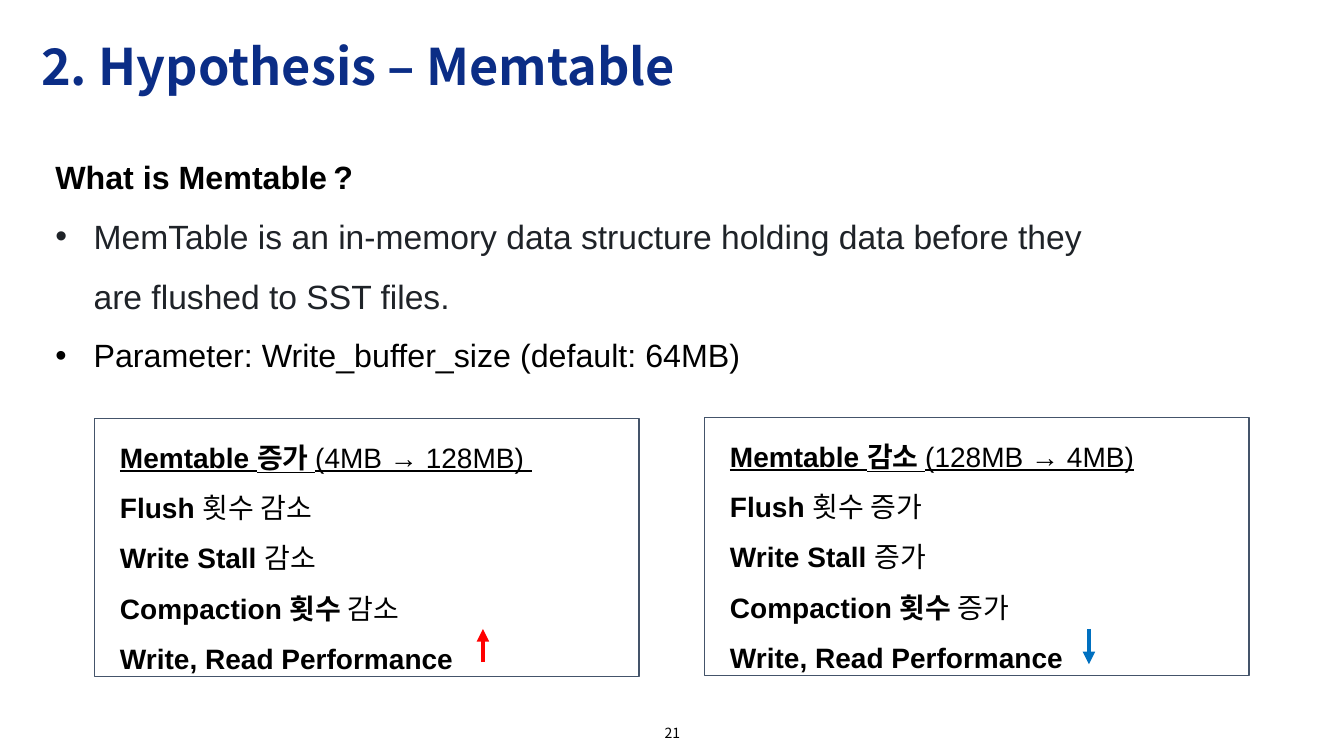
from lxml import etree
from pptx import Presentation
from pptx import util as u
from pptx.dml.color import RGBColor
from pptx.enum import shapes, text
from pptx.oxml.ns import qn

INK, NAVY, SLATE = "000000", "0B2D86", "44546A"
BODY, KOREAN = "Arial", "Noto Sans CJK KR"


def rgb(value):
    return RGBColor.from_string(value)


class Deck:
    def __init__(self):
        self.prs = Presentation()
        self.prs.slide_width = u.Inches(13.33)
        self.prs.slide_height = u.Inches(7.5)
        self.s = self.prs.slides.add_slide(self.prs.slide_layouts[6])

    def frame(self, sp, anchor, grow=False):
        tf = sp.text_frame
        tf.word_wrap = True
        tf.vertical_anchor = anchor
        tf.auto_size = (text.MSO_AUTO_SIZE.SHAPE_TO_FIT_TEXT if grow
                        else text.MSO_AUTO_SIZE.NONE)
        return tf

    def text_box(self, x, y, w, h, grow=False):
        sp = self.s.shapes.add_textbox(*map(u.Inches, (x, y, w, h)))
        return self.frame(sp, text.MSO_ANCHOR.MIDDLE, grow)

    def panel(self, x, y, w, h):
        """Add an outlined box and return its text frame."""
        sp = self.s.shapes.add_shape(shapes.MSO_SHAPE.RECTANGLE,
                                     *map(u.Inches, (x, y, w, h)))
        sp.shadow.inherit = False
        sp.fill.background()
        sp.line.color.rgb = rgb(SLATE)
        sp.line.width = u.Pt(1)
        tf = self.frame(sp, text.MSO_ANCHOR.TOP, grow=True)
        tf.margin_left = u.Inches(0.25)
        return tf

    def paragraph(self, tf, spacing=1.5, align=text.PP_ALIGN.LEFT, bullet=False):
        first = tf.paragraphs[0]
        p = tf.add_paragraph() if first.runs else first
        p.line_spacing = spacing
        p.alignment = align
        if bullet:
            pPr = p._p.get_or_add_pPr()
            pPr.set("marL", str(u.Inches(0.38)))
            pPr.set("indent", str(-u.Inches(0.38)))
            etree.SubElement(pPr, qn("a:buFont")).set("typeface", BODY)
            etree.SubElement(pPr, qn("a:buChar")).set("char", "•")
        return p

    def run(self, p, words, size, color=INK, bold=False, underline=False, font=BODY):
        r = p.add_run()
        r.text = words
        r.font.size = u.Pt(size)
        r.font.name = font
        r.font.bold = bold
        r.font.underline = underline
        r.font.color.rgb = rgb(color)
        etree.SubElement(r._r.get_or_add_rPr(), qn("a:ea")).set("typeface", KOREAN)

    def arrow(self, x, start, end, color):
        """Add a vertical arrow pointing from start to end."""
        c = self.s.shapes.add_connector(shapes.MSO_CONNECTOR.STRAIGHT,
                                        *map(u.Inches, (x, start, x, end)))
        c.line.color.rgb = rgb(color)
        c.line.width = u.Pt(3)
        etree.SubElement(c.line._get_or_add_ln(), qn("a:tailEnd")).set("type", "triangle")
        etree.SubElement(c._element.spPr, qn("a:effectLst"))

    def effects(self, x, y, change, sizes, effect):
        """Add a panel listing what a Memtable size change leads to."""
        tf = self.panel(x, y, 5.4, 2.56)
        p = self.paragraph(tf)
        self.run(p, f"Memtable {change} ", 20, bold=True, underline=True)
        self.run(p, sizes, 20, underline=True)
        for subject, result in (("Flush ", f"횟수 {effect}"),
                                ("Write Stall ", effect),
                                ("Compaction 횟수 ", effect),
                                ("Write, Read Performance", "")):
            p = self.paragraph(tf)
            self.run(p, subject, 20, bold=True)
            if result:
                self.run(p, result, 20)


def main():
    deck = Deck()
    deck.effects(6.99, 4.14, "감소", "(128MB → 4MB)", "증가")
    deck.effects(0.94, 4.15, "증가", "(4MB → 128MB) ", "감소")

    title = deck.paragraph(deck.text_box(0.31, 0.23, 12.65, 0.91), 0.9)
    deck.run(title, "2. Hypothesis – Memtable", 36, NAVY, bold=True, font=KOREAN)

    number = deck.paragraph(deck.text_box(5.17, 7.11, 3, 0.32), 1,
                            text.PP_ALIGN.CENTER)
    deck.run(number, "21", 10, font=KOREAN)

    intro = deck.text_box(0.45, 1.34, 10.55, 2.4, grow=True)
    question = deck.paragraph(intro)
    for words, size in (("What is Memtable", 23), (" ", 14), ("?", 23)):
        deck.run(question, words, size, bold=True)
    deck.run(deck.paragraph(intro, bullet=True),
             "MemTable is an in-memory data structure holding data before they "
             "are flushed to SST files.", 24, "1F2328")
    deck.run(deck.paragraph(intro, bullet=True),
             "Parameter: Write_buffer_size (default: 64MB)", 23)

    deck.arrow(4.79, 6.57, 6.24, "FF0000")
    deck.arrow(10.8, 6.24, 6.59, "0070C0")
    deck.prs.save("out.pptx")


if __name__ == "__main__":
    main()
